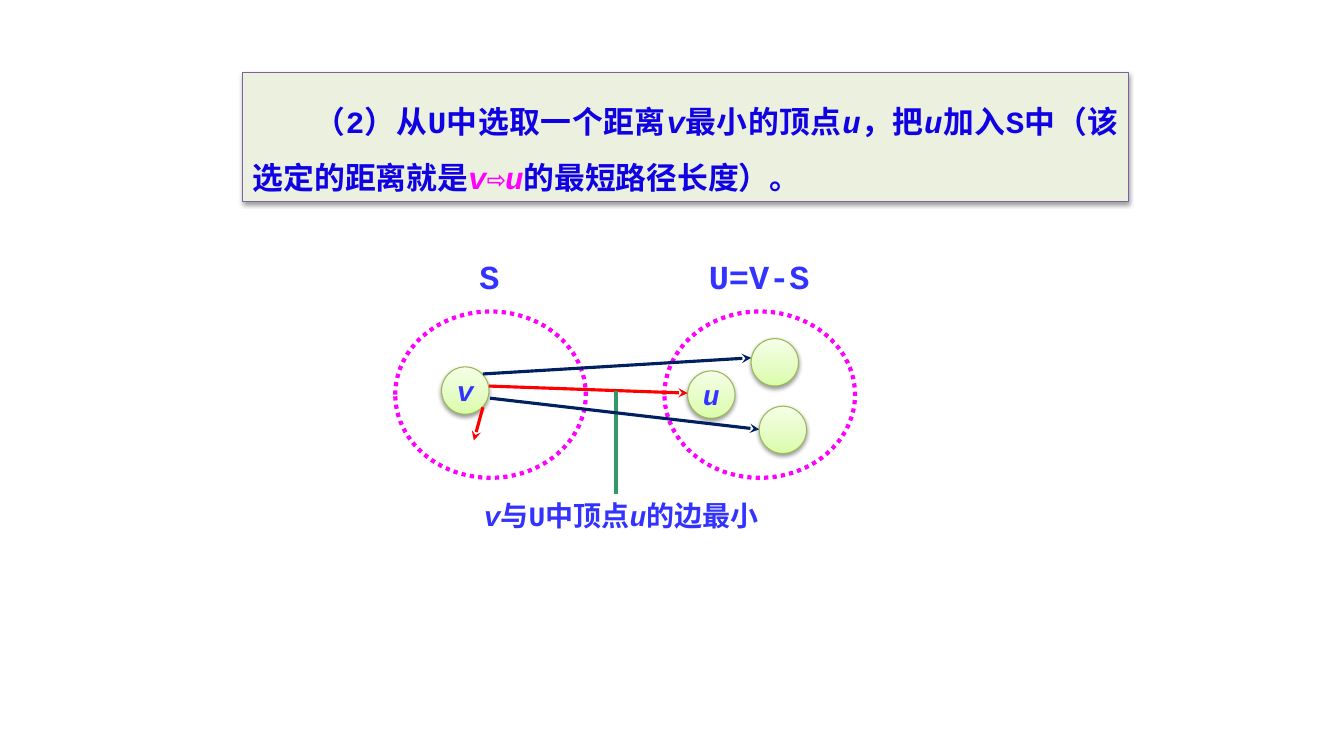
"""Builds the slide on choosing the nearest vertex u in the shortest-path algorithm."""
from lxml.etree import SubElement
from pptx import Presentation
from pptx.dml.color import RGBColor
from pptx.enum.dml import MSO_LINE
from pptx.enum.shapes import MSO_CONNECTOR, MSO_SHAPE
from pptx.enum.text import MSO_ANCHOR, PP_ALIGN
from pptx.oxml.ns import qn
from pptx.util import Inches, Pt

FONT = "Courier New"
COLORS = {
    "panel": "EBF1DE", "panel_line": "7D60A0", "statement": "1000E4",
    "magenta": "FF00FF", "label": "3333FF", "vertex_line": "98B955",
    "red": "FF0000", "navy": "002060", "green": "339966", "shadow": "000000",
}
VERTEX_STOPS = ((0, "DAFDA7"), (35, "E4FCC2"), (100, "F5FFE7"))
VERTEX_SIZE = 0.47


def rgb(name):
    """Return the named colour."""
    return RGBColor.from_string(COLORS[name])


def set_line(line, color, width):
    """Give a line its colour and width in points."""
    line.color.rgb = rgb(color)
    line.width = Pt(width)


def add_runs(p, runs, size):
    """Add runs given as (text, colour, italic) to a paragraph."""
    for text, color, italic in runs:
        r = p.add_run()
        r.text = text
        r.font.name = FONT
        r.font.size = Pt(size)
        r.font.bold = True
        r.font.italic = italic
        r.font.color.rgb = rgb(color)


def add_shape(s, kind, left, top, width, height, line, line_width):
    """Add an unfilled preset shape without a shadow."""
    sp = s.shapes.add_shape(kind, Inches(left), Inches(top), Inches(width), Inches(height))
    sp.shadow.inherit = False
    sp.fill.background()
    set_line(sp.line, line, line_width)
    return sp


def add_shadow(sp):
    """Give a shape a soft shadow falling downwards."""
    effects = sp._element.spPr.find(qn("a:effectLst"))
    shadow = SubElement(effects, qn("a:outerShdw"), blurRad=str(Pt(3.1)), dist=str(Pt(1.6)),
                        dir="5400000", rotWithShape="0")
    color = SubElement(shadow, qn("a:srgbClr"), val=COLORS["shadow"])
    SubElement(color, qn("a:alpha"), val="38000")


def add_set(s, left):
    """Add the dotted outline of a vertex set."""
    sp = add_shape(s, MSO_SHAPE.OVAL, left, 3.09, 1.89, 1.65, "magenta", 3)
    sp.line.dash_style = MSO_LINE.ROUND_DOT


def add_vertex(s, left, top, name=""):
    """Add a green gradient vertex, with its name if it has one."""
    sp = add_shape(s, MSO_SHAPE.OVAL, left, top, VERTEX_SIZE, VERTEX_SIZE, "vertex_line", 0.75)
    sp.fill.gradient()
    sp.fill.gradient_angle = 90
    stops = sp._element.spPr.find(qn("a:gradFill")).find(qn("a:gsLst"))
    for stop in list(stops):
        stops.remove(stop)
    for percent, color in VERTEX_STOPS:
        stop = SubElement(stops, qn("a:gs"), pos=str(percent * 1000))
        SubElement(stop, qn("a:srgbClr"), val=color)
    add_shadow(sp)
    if name:
        tf = sp.text_frame
        tf.word_wrap = False
        tf.vertical_anchor = MSO_ANCHOR.MIDDLE
        p = tf.paragraphs[0]
        p.alignment = PP_ALIGN.CENTER
        add_runs(p, [(name, "label", True)], 20)


def add_statement(s, runs):
    """Add the shaded panel with the step's statement."""
    sp = add_shape(s, MSO_SHAPE.RECTANGLE, 2.41, 0.72, 8.78, 1.28, "panel_line", 0.75)
    sp.fill.solid()
    sp.fill.fore_color.rgb = rgb("panel")
    add_shadow(sp)
    tf = sp.text_frame
    tf.word_wrap = True
    tf.vertical_anchor = MSO_ANCHOR.TOP
    tf.margin_left = tf.margin_right = Inches(0.1)
    tf.margin_top = tf.margin_bottom = Inches(0.12)
    p = tf.paragraphs[0]
    p.alignment = PP_ALIGN.JUSTIFY
    p.line_spacing = 1.5
    p._p.get_or_add_pPr().set("indent", str(Pt(44)))
    add_runs(p, runs, 22)


def add_text(s, left, top, width, height, runs, size, align=PP_ALIGN.LEFT, margins=(0.1, 0.05)):
    """Add a wrapping text box."""
    tf = s.shapes.add_textbox(Inches(left), Inches(top), Inches(width), Inches(height)).text_frame
    tf.word_wrap = True
    tf.margin_left = tf.margin_right = Inches(margins[0])
    tf.margin_top = tf.margin_bottom = Inches(margins[1])
    p = tf.paragraphs[0]
    p.alignment = align
    add_runs(p, runs, size)


def add_set_label(s, left, width, text):
    """Add the centred name above a vertex set."""
    add_text(s, left, 2.54, width, 0.4, [(text, "label", False)], 24, PP_ALIGN.CENTER, (0, 0))


def add_edge(s, start, end, color, arrow=True):
    """Add a straight line between two points, with an arrowhead if wanted."""
    x1, y1, x2, y2 = (Inches(v) for v in start + end)
    cx = s.shapes.add_connector(MSO_CONNECTOR.STRAIGHT, x1, y1, x2, y2)
    set_line(cx.line, color, 2.25)
    if arrow:
        SubElement(cx.line._get_or_add_ln(), qn("a:tailEnd"), type="stealth")
    SubElement(cx._element.spPr, qn("a:effectLst"))


def main():
    """Build and save the slide."""
    prs = Presentation()
    prs.slide_width, prs.slide_height = Inches(13.33), Inches(7.5)
    s = prs.slides.add_slide(prs.slide_layouts[6])

    for left in (6.59, 3.92):
        add_set(s, left)
    add_statement(s, [
        ("（2）从U中选取一个距离", "statement", False), ("v", "statement", True),
        ("最小的顶点", "statement", False), ("u", "statement", True),
        ("，把", "statement", False), ("u", "statement", True),
        ("加入S中（该选定的距离就是", "statement", False),
        ("v", "magenta", True), ("⇨", "magenta", False), ("u", "magenta", True),
        ("的最短路径长度）。", "statement", False),
    ])
    add_set_label(s, 4.54, 0.63, "S")
    add_set_label(s, 6.98, 1.1, "U=V-S")

    add_vertex(s, 4.38, 3.64, "v")
    add_vertex(s, 6.82, 3.68, "u")
    add_vertex(s, 7.53, 4.03)
    add_vertex(s, 7.45, 3.36)

    add_edge(s, (4.85, 3.83), (6.82, 3.9), "red")
    add_text(s, 4.7, 4.9, 2.99, 0.43, [
        ("v", "label", True), ("与U中顶点", "label", False),
        ("u", "label", True), ("的边最小", "label", False),
    ], 20)
    add_edge(s, (6.11, 3.88), (6.11, 4.9), "green", arrow=False)
    add_edge(s, (4.79, 4.04), (4.7, 4.37), "red")
    add_edge(s, (4.79, 3.71), (7.45, 3.55), "navy")
    add_edge(s, (4.86, 3.95), (7.53, 4.26), "navy")

    prs.save("out.pptx")


if __name__ == "__main__":
    main()
